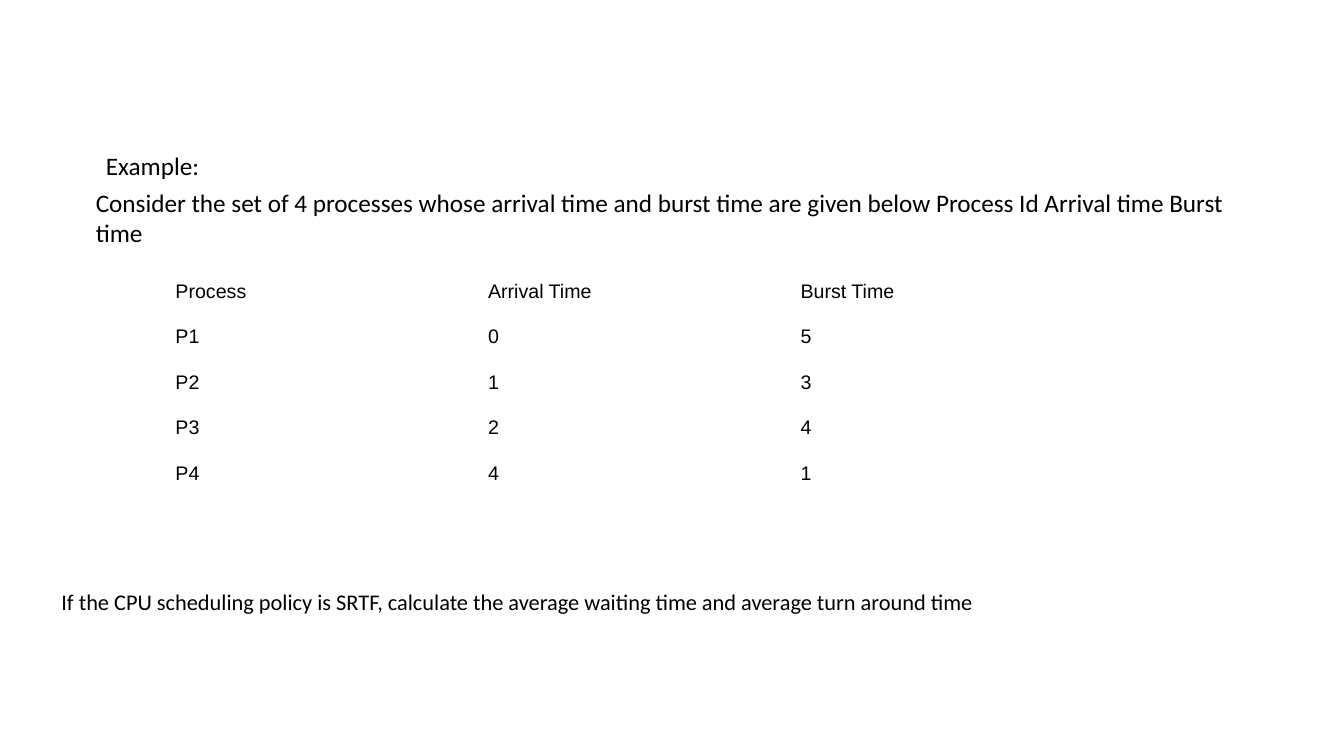
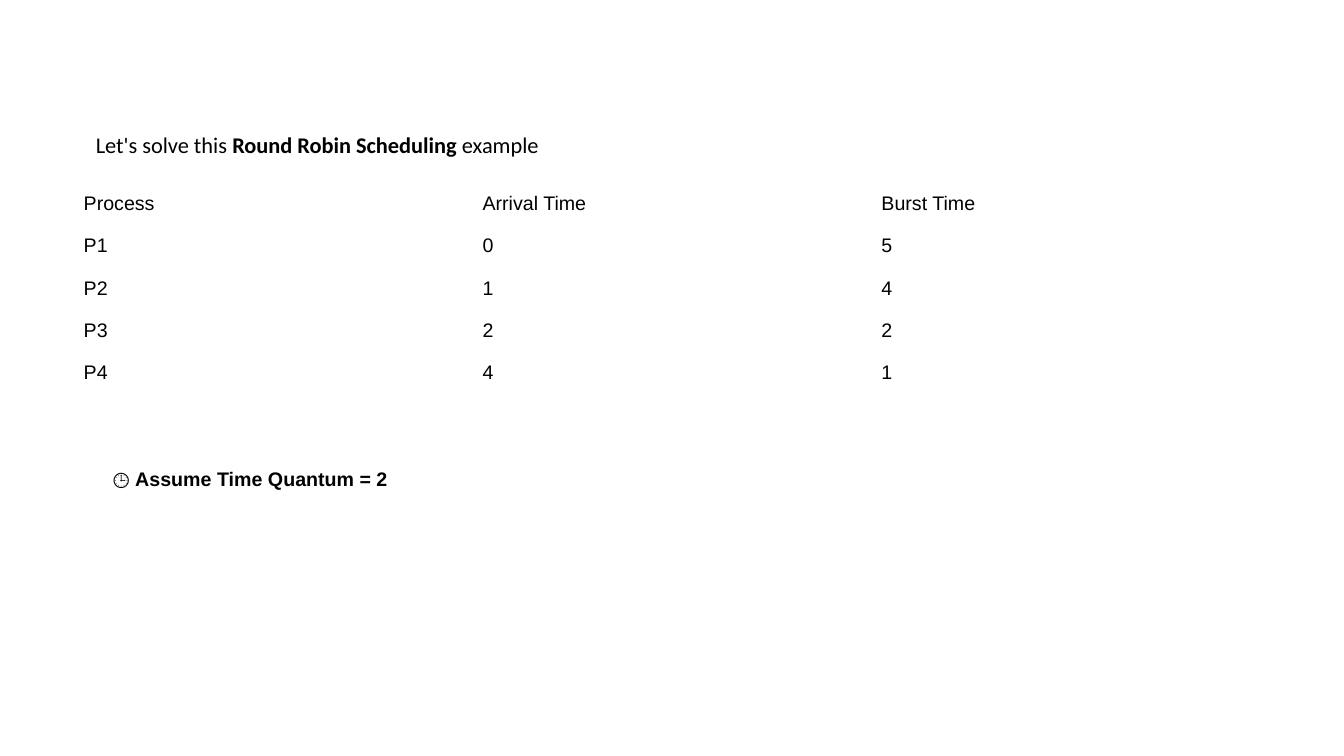
from lxml.etree import SubElement
from pptx import Presentation
from pptx.dml.color import RGBColor
from pptx.enum.text import MSO_ANCHOR, MSO_AUTO_SIZE
from pptx.oxml.ns import qn
from pptx.util import Inches, Pt

BLACK = RGBColor(0x00, 0x00, 0x00)
WHITE = RGBColor(0xFF, 0xFF, 0xFF)
BODY_FONT = "Calibri"
TABLE_FONT = "Arial"
TABLE_SIZE = 14
BODY_LEFT, BODY_WIDTH = 0.73, 11.87
HEADINGS = ["Process", "Arrival Time", "Burst Time"]

deck = Presentation()
deck.slide_width, deck.slide_height = Inches(13.33), Inches(7.5)
content_layout = deck.slide_layouts[1]


def write_paragraphs(box, place, paragraphs, size, font):
    """Place a box and fill it; a paragraph is a list of (text, bold) runs."""
    box.left, box.top, box.width, box.height = [Inches(length) for length in place]
    frame = box.text_frame
    frame.word_wrap = True
    frame.auto_size = MSO_AUTO_SIZE.NONE
    frame.vertical_anchor = MSO_ANCHOR.TOP
    for index, runs in enumerate(paragraphs):
        para = frame.add_paragraph() if index else frame.paragraphs[0]
        para.space_before = Pt(5 if index else 0)
        for text, bold in runs:
            span = para.add_run()
            span.text = text
            span.font.name, span.font.size = font, Pt(size)
            span.font.bold = bold
            span.font.color.rgb = BLACK


def add_process_table(page, left, top, column_width, row_height, processes):
    rows = [HEADINGS] + [[f"P{number}", *times]
                         for number, times in enumerate(processes, start=1)]
    table = page.shapes.add_table(
        len(rows), len(HEADINGS), Inches(left), Inches(top),
        Inches(column_width * len(HEADINGS)), Inches(row_height * len(rows))).table
    table.first_row = table.horz_banding = False
    for row, values in zip(table.rows, rows):
        row.height = Inches(row_height)
        for cell, value in zip(row.cells, values):
            cell.fill.solid()
            cell.fill.fore_color.rgb = WHITE
            cell.vertical_anchor = MSO_ANCHOR.MIDDLE
            span = cell.text_frame.paragraphs[0].add_run()
            span.text = str(value)
            span.font.name, span.font.size = TABLE_FONT, Pt(TABLE_SIZE)
            span.font.color.rgb = BLACK


examples = [
    {
        "body_top": 1.44, "body_height": 1.1, "body_size": 18,
        "first_indent": 0.1,
        "body": [
            [("Example:", False)],
            [("Consider the set of 4 processes whose arrival time and burst time "
              "are given below Process Id Arrival time Burst time", False)],
        ],
        "table": (1.64, 2.67, 3.1, 0.45, [(0, 5), (1, 3), (2, 4), (4, 1)]),
        "note_place": (0.51, 5.79, 9.49, 0.37),
        "note_size": 16, "note_font": BODY_FONT,
        "note": [("If the CPU scheduling policy is SRTF, calculate the average "
                  "waiting time and average turn around time", False)],
    },
    {
        "body_top": 1.25, "body_height": 0.45, "body_size": 16,
        "first_indent": 0,
        "body": [[("Let's solve this ", False), ("Round Robin Scheduling", True),
                  (" example", False)]],
        "table": (BODY_LEFT, 1.81, BODY_WIDTH / len(HEADINGS), 0.42,
                  [(0, 5), (1, 4), (2, 2), (4, 1)]),
        "note_place": (1.02, 4.58, 3.45, 0.34),
        "note_size": TABLE_SIZE, "note_font": TABLE_FONT,
        "note": [("🕒 ", False), ("Assume Time Quantum = 2", True)],
    },
]

for example in examples:
    page = deck.slides.add_slide(content_layout)
    empty_title = page.shapes.title.element
    empty_title.getparent().remove(empty_title)

    body = page.placeholders[1]
    write_paragraphs(
        body, (BODY_LEFT, example["body_top"], BODY_WIDTH, example["body_height"]),
        example["body"], example["body_size"], BODY_FONT)
    for index, para in enumerate(body.text_frame.paragraphs):
        properties = para._p.get_or_add_pPr()
        properties.set("marL", str(Inches(0.12)))
        properties.set("indent", str(Inches(0 if index else example["first_indent"])))
        SubElement(properties, qn("a:buNone"))

    add_process_table(page, *example["table"])

    note = page.shapes.add_textbox(0, 0, 0, 0)
    write_paragraphs(note, example["note_place"], [example["note"]],
                     example["note_size"], example["note_font"])

deck.save("out.pptx")
